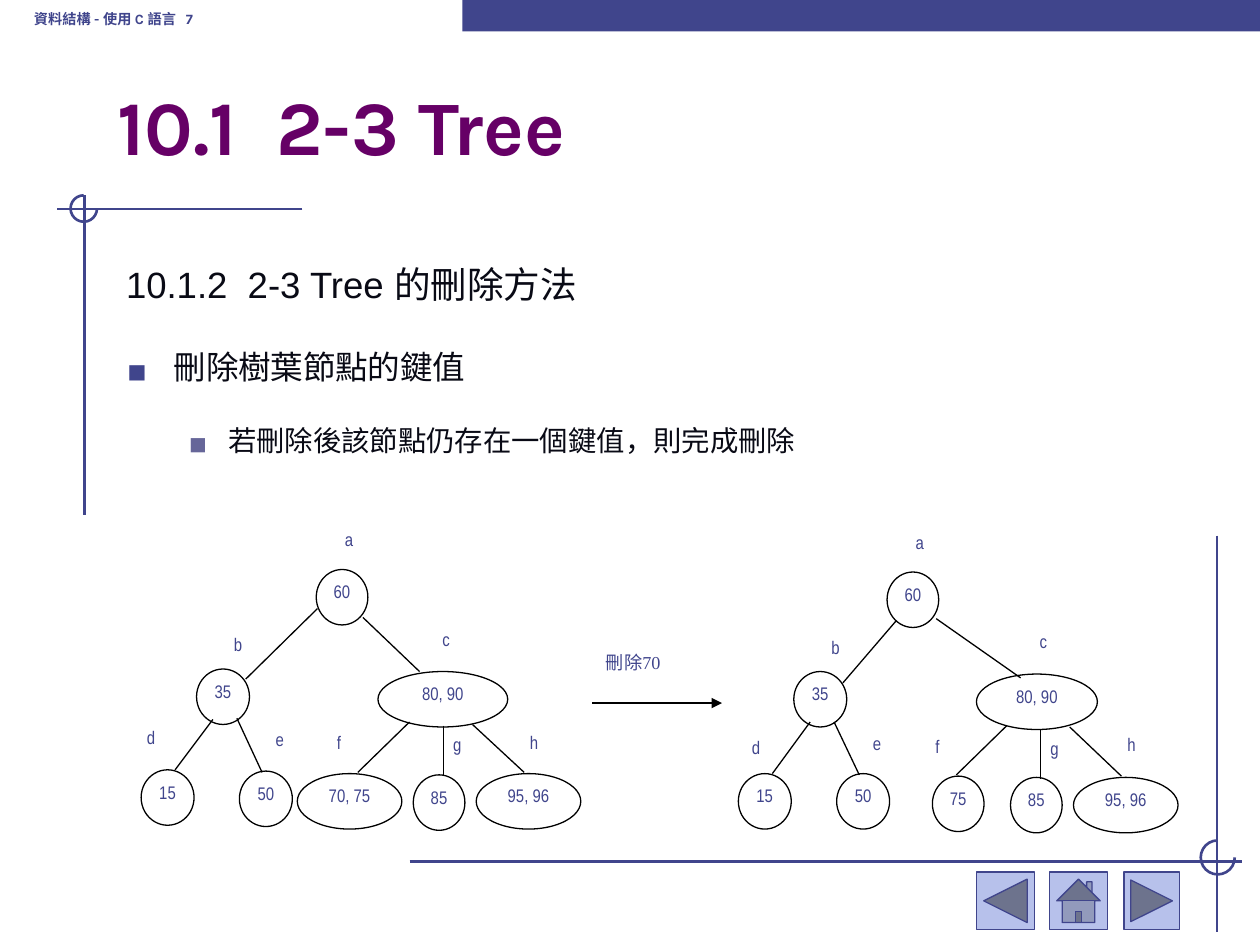
from lxml import etree
from pptx import Presentation
from pptx.dml.color import RGBColor
from pptx.enum.shapes import MSO_CONNECTOR, MSO_SHAPE
from pptx.enum.text import MSO_ANCHOR, MSO_AUTO_SIZE, PP_ALIGN
from pptx.oxml.ns import qn
from pptx.util import Inches, Pt

INDIGO = RGBColor(0x40, 0x45, 0x8C)
PERIWINKLE = RGBColor(0xB7, 0xC1, 0xEB)
PURPLE = RGBColor(0x66, 0x00, 0x66)
INK = RGBColor(0x09, 0x0A, 0x15)
BLACK = RGBColor(0, 0, 0)
STRAIGHT = MSO_CONNECTOR.STRAIGHT
RECT, OVAL, ARC = MSO_SHAPE.RECTANGLE, MSO_SHAPE.OVAL, MSO_SHAPE.ARC
CENTER, LEFT = PP_ALIGN.CENTER, PP_ALIGN.LEFT
TOP, BOTTOM = MSO_ANCHOR.TOP, MSO_ANCHOR.BOTTOM

HEADER = "資料結構 - 使用 C 語言   7"
TITLE = "10.1  2-3 Tree"
OUTLINE = [
    ("10.1.2  2-3 Tree 的刪除方法", 36, 0, 0.38, 0.38, None),
    ("刪除樹葉節點的鍵值", 32, 0, 0.38, 0.38, ("▪", "40458C", 110)),
    ("若刪除後該節點仍存在一個鍵值，則完成刪除", 28, 1, 0.81, 0.31, ("■", "666699", 60)),
]
OPERATION = "刪除70"

# label, keys, node (left, top, width), label (left, top), edge from parent
TREE_BEFORE = [
    ("a", "60", (2.51, 4.52, 0.41), (2.53, 4.17), None),
    ("b", "35", (1.56, 5.31, 0.42), (1.65, 5.00), (2.52, 4.83, 1.95, 5.39)),
    ("c", "80, 90", (3.00, 5.33, 1.03), (3.30, 4.96), (2.88, 4.90, 3.33, 5.33)),
    ("d", "15", (1.12, 6.11, 0.42), (1.00, 5.74), (1.69, 5.71, 1.39, 6.11)),
    ("e", "50", (1.90, 6.12, 0.42), (1.98, 5.76), (1.88, 5.70, 2.08, 6.13)),
    ("f", "70, 75", (2.36, 6.14, 0.83), (2.45, 5.78), (3.25, 5.73, 2.84, 6.13)),
    ("g", "85", (3.28, 6.15, 0.41), (3.45, 5.80), (3.52, 5.76, 3.52, 6.15)),
    ("h", "95, 96", (3.78, 6.14, 0.83), (4.06, 5.78), (3.75, 5.75, 4.16, 6.13)),
]
TREE_AFTER = [
    ("a", "60", (7.04, 4.54, 0.41), (7.06, 4.19), None),
    ("b", "35", (6.30, 5.33, 0.42), (6.39, 5.03), (7.11, 4.93, 6.69, 5.42)),
    ("c", "80, 90", (7.75, 5.35, 0.96), (8.04, 4.98), (7.43, 4.91, 8.10, 5.38)),
    ("d", "15", (5.86, 6.14, 0.42), (5.80, 5.82), (6.43, 5.73, 6.13, 6.14)),
    ("e", "50", (6.64, 6.14, 0.42), (6.72, 5.79), (6.62, 5.73, 6.82, 6.15)),
    ("f", "75", (7.40, 6.16, 0.41), (7.20, 5.81), (7.99, 5.76, 7.59, 6.15)),
    ("g", "85", (8.02, 6.17, 0.41), (8.19, 5.83), (8.26, 5.79, 8.26, 6.18)),
    ("h", "95, 96", (8.52, 6.17, 0.83), (8.80, 5.80), (8.49, 5.77, 8.90, 6.16)),
]
NODE_HEIGHT, LABEL_HEIGHT = 0.44, 0.31
LABEL_WIDTHS = {"d": 0.4, "g": 0.36, "h": 0.36}

FRAME_LINES = [(2.4, 1.66, 0.45, 1.66), (0.67, 1.55, 0.67, 4.09),
               (3.25, 6.84, 9.86, 6.84), (9.66, 4.25, 9.66, 7.4)]
FRAME_ARCS = [(0.56, 1.55, 0.21), (9.53, 6.67, 0.27)]
BUTTONS = [(MSO_SHAPE.ACTION_BUTTON_BACK_OR_PREVIOUS, 7.75, 0.46),
           (MSO_SHAPE.ACTION_BUTTON_HOME, 8.33, 0.46),
           (MSO_SHAPE.ACTION_BUTTON_FORWARD_OR_NEXT, 8.92, 0.44)]

prs = Presentation()
prs.slide_width, prs.slide_height = Inches(10), Inches(7.5)
slide = prs.slides.add_slide(prs.slide_layouts[1])
shapes = slide.shapes


def inches(*lengths):
    return [Inches(length) for length in lengths]


def place(placeholder, *box):
    placeholder.left, placeholder.top, placeholder.width, placeholder.height = inches(*box)


def add_line(ends, color, width):
    line = shapes.add_connector(STRAIGHT, *inches(*ends))
    line.line.color.rgb = color
    line.line.width = Pt(width)
    etree.SubElement(line._element.spPr, qn("a:effectLst"))
    return line


def add_shape(kind, box, fill=None, outline=None, width=0.75):
    shape = shapes.add_shape(kind, *inches(*box))
    shape.shadow.inherit = False
    if fill is None:
        shape.fill.background()
    else:
        shape.fill.solid()
        shape.fill.fore_color.rgb = fill
    if outline is None:
        shape.line.fill.background()
    else:
        shape.line.color.rgb = outline
        shape.line.width = Pt(width)
    return shape


def add_run(paragraph, text, size, font, color, bold=False, raised=True):
    run = paragraph.add_run()
    run.text = text
    run.font.size = Pt(size)
    run.font.name = font
    run.font.bold = bold
    run.font.color.rgb = color
    if raised:
        run._r.get_or_add_rPr().set("baseline", "25000")


def write_tight(shape, text):
    frame = shape.text_frame
    frame.word_wrap = True
    frame.vertical_anchor = TOP
    frame.margin_left = frame.margin_top = frame.margin_right = frame.margin_bottom = 0
    paragraph = frame.paragraphs[0]
    paragraph.alignment = CENTER
    paragraph.line_spacing = 0.96
    add_run(paragraph, text, 18, "Arial Narrow", INDIGO)


def set_bullet(paragraph, margin, hanging, bullet):
    props = paragraph._p.get_or_add_pPr()
    props.set("marL", str(Inches(margin)))
    props.set("indent", str(-Inches(hanging)))
    if bullet is None:
        etree.SubElement(props, qn("a:buNone"))
        return
    char, color, percent = bullet
    bullet_color = etree.SubElement(props, qn("a:buClr"))
    etree.SubElement(bullet_color, qn("a:srgbClr"), val=color)
    etree.SubElement(props, qn("a:buSzPct"), val=str(percent * 1000))
    etree.SubElement(props, qn("a:buFont"), typeface="Arial")
    etree.SubElement(props, qn("a:buChar"), char=char)


def draw_tree(nodes):
    for label, keys, (left, top, width), label_at, edge in nodes:
        node = add_shape(OVAL, (left, top, width, NODE_HEIGHT), outline=BLACK)
        write_tight(node, keys)
        label_size = (LABEL_WIDTHS.get(label, 0.48), LABEL_HEIGHT)
        write_tight(shapes.add_textbox(*inches(*label_at, *label_size)), label)
        if edge:
            add_line(edge, BLACK, 0.75)


for ends in FRAME_LINES:
    add_line(ends, INDIGO, 1.5)
for left, top, size in FRAME_ARCS:
    arc = add_shape(ARC, (left, top, size, size), outline=INDIGO, width=1.5)
    arc.adjustments[0], arc.adjustments[1] = 0, 162
add_shape(RECT, (3.67, 0, 6.33, 0.25), fill=INDIGO)
for kind, left, width in BUTTONS:
    add_shape(kind, (left, 6.92, width, 0.46), PERIWINKLE, INDIGO)

header = shapes.add_textbox(*inches(0.17, -0.17, 3.08, 0.5)).text_frame
header.word_wrap = True
header.vertical_anchor = BOTTOM
add_run(header.paragraphs[0], HEADER, 14, "Karla", INDIGO, bold=True)

place(shapes.title, 0.83, 0.58, 8.5, 0.83)
title = shapes.title.text_frame
title.auto_size = MSO_AUTO_SIZE.NONE
title.vertical_anchor = BOTTOM
title.paragraphs[0].alignment = LEFT
add_run(title.paragraphs[0], TITLE, 44, "Karla", PURPLE, bold=True, raised=False)

body = slide.placeholders[1]
place(body, 0.9, 1.94, 8.41, 4.07)
outline = body.text_frame
outline.auto_size = MSO_AUTO_SIZE.NONE
for index, (text, size, level, margin, hanging, bullet) in enumerate(OUTLINE):
    paragraph = outline.add_paragraph() if index else outline.paragraphs[0]
    paragraph.level = level
    if index == 0:
        paragraph.space_before = Pt(0)
    set_bullet(paragraph, margin, hanging, bullet)
    add_run(paragraph, text, size, "Arial", INK)

draw_tree(TREE_BEFORE)
draw_tree(TREE_AFTER)

operation = shapes.add_textbox(*inches(4.71, 5.08, 1.16, 0.66)).text_frame
operation.word_wrap = True
add_run(operation.paragraphs[0], OPERATION, 18, "Times New Roman", INDIGO)
arrow = add_line((4.7, 5.58, 5.73, 5.58), BLACK, 0.75)
etree.SubElement(arrow.line._get_or_add_ln(), qn("a:tailEnd"), type="triangle")

prs.save("out.pptx")
